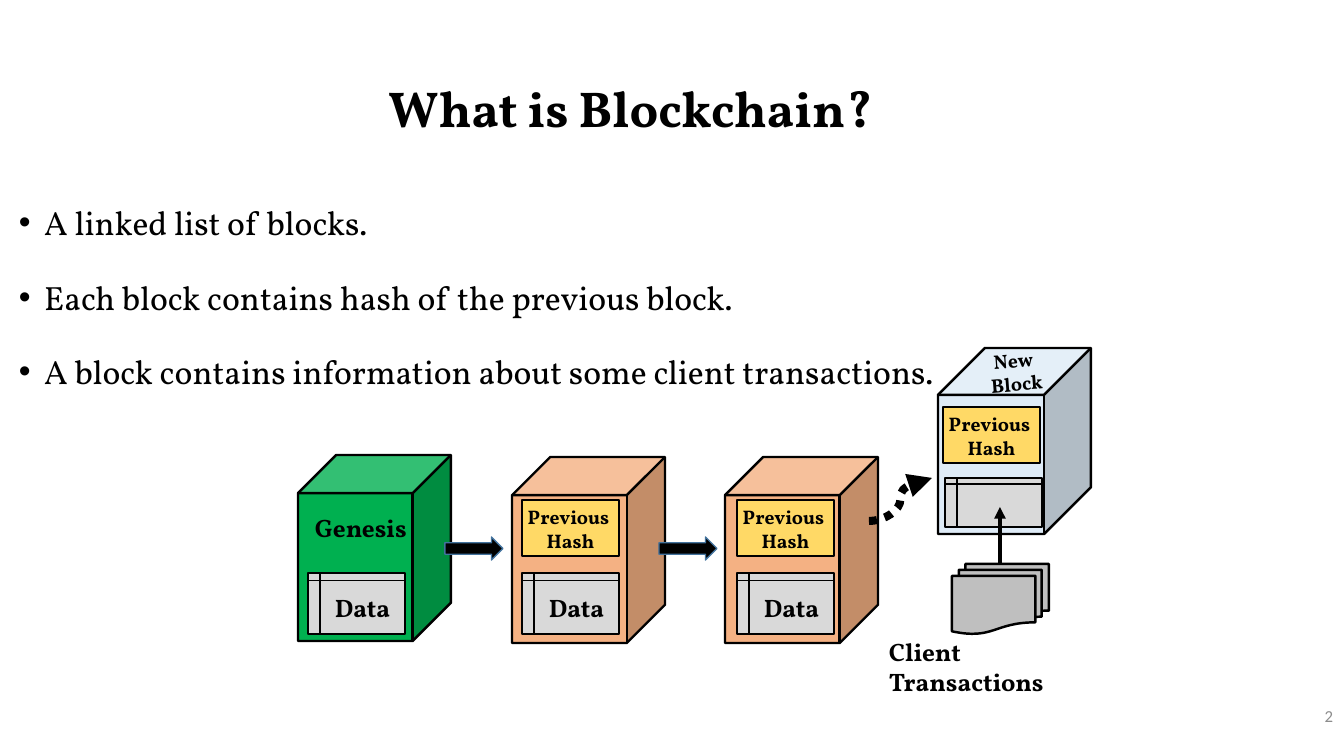
"""Build the slide that explains what a blockchain is."""
from lxml.etree import SubElement
from pptx import Presentation
from pptx.dml.color import RGBColor as RGB
from pptx.enum.dml import MSO_LINE as DASH
from pptx.enum.shapes import MSO_CONNECTOR as LINK, MSO_SHAPE as SHAPE
from pptx.enum.text import MSO_ANCHOR as ANCHOR, PP_ALIGN as ALIGN
from pptx.oxml.ns import qn
from pptx.util import Emu, Pt

PX = 914400 / 100.8
THEME = {
    "font": "Vollkorn", "foot": "Calibri",
    "ink": "000000", "gray": "8C8C8C", "edge": "43739E",
    "green": "00B050", "peach": "F4B183", "pale": "DEEBF7",
    "gold": "FFD966", "data": "D9D9D9", "docs": "BFBFBF",
    "title": 36, "body": 24, "label": 18, "small": 14, "page": 12,
}

deck = Presentation()
deck.slide_width, deck.slide_height = Emu(round(1344 * PX)), Emu(round(756 * PX))
slide = deck.slides.add_slide(deck.slide_layouts[6])


def draw(kind, box, fill, width, edge="ink"):
    """Add a filled preset shape."""
    shape = slide.shapes.add_shape(kind, *[round(n * PX) for n in box])
    shape.shadow.inherit = False
    shape.fill.solid()
    shape.fill.fore_color.rgb = RGB.from_string(THEME[fill])
    shape.line.color.rgb = RGB.from_string(THEME[edge])
    shape.line.width = Pt(width)
    return shape


def write(lines, size, box=None, shape=None, align=ALIGN.CENTER, wrap=True,
          bold=True, font="font", color="ink", space=1, mid=False, dots=False):
    """Write lines into a new text box or a given shape."""
    if shape is None:
        shape = slide.shapes.add_textbox(*[round(n * PX) for n in box])
    frame = shape.text_frame
    frame.word_wrap = wrap
    frame.vertical_anchor = ANCHOR.MIDDLE if mid else ANCHOR.TOP
    for i, line in enumerate(lines):
        para = frame.add_paragraph() if i else frame.paragraphs[0]
        para.alignment, para.line_spacing = align, space
        if dots:
            para.space_before = Pt(10 if i else 0)
            props = para._p.get_or_add_pPr()
            props.set("marL", "228600")
            props.set("indent", "-228600")
            SubElement(props, qn("a:buFont")).set("typeface", "Arial")
            SubElement(props, qn("a:buChar")).set("char", "•")
        run = para.add_run()
        run.text = line
        run.font.name, run.font.size = THEME[font], Pt(THEME[size])
        run.font.bold = bold
        run.font.color.rgb = RGB.from_string(THEME[color])
    return shape


write(["A linked list of blocks.",
       "Each block contains hash of the previous block.",
       "A block contains information about some client transactions."],
      "body", (9, 177, 1159, 216), align=ALIGN.LEFT, bold=False,
      space=1.5, dots=True)
write(["What is Blockchain?"], "title", (51, 62, 1159, 79), space=1.2, mid=True)

blocks = [
    ("green", (298, 455), (308, 573, 97, 61), None, "Data"),
    ("peach", (512, 457), (522, 573, 97, 61), (522, 500), "Data"),
    ("peach", (725, 457), (737, 573, 97, 61), (737, 500), "Data"),
    ("pale", (938, 348), (945, 478, 97, 49), (943, 407), None),
]
for fill, spot, store, hash_at, label in blocks:
    cube = draw(SHAPE.CUBE, (*spot, 153, 186), fill, 1.75)
    if fill == "pale":
        cube.adjustments[0] = 0.306
    data = draw(SHAPE.FLOWCHART_INTERNAL_STORAGE, store, "data", 1)
    if label:
        write([label], "label", shape=data, mid=True)
    if hash_at:
        x, y = hash_at
        draw(SHAPE.RECTANGLE, (x, y, 97, 56), "gold", 1)
        write(["Previous ", "Hash"], "small", (x - 12, y, 121, 57))

write(["Genesis"], "label", (305, 507, 114, 40), align=ALIGN.LEFT, wrap=False)
draw(SHAPE.FLOWCHART_MULTIDOCUMENT, (952, 564, 97, 70), "docs", 1.75)
for x in (445, 659):
    draw(SHAPE.RIGHT_ARROW, (x, 537, 58, 23), "ink", 1, "edge")

links = [
    (LINK.STRAIGHT, (1000, 564, 1000, 507), 2.75, None),
    (LINK.CURVE, (869, 521, 932, 478), 5.75, DASH.ROUND_DOT),
]
for kind, ends, width, dash in links:
    link = slide.shapes.add_connector(kind, *[round(n * PX) for n in ends])
    link.line.color.rgb = RGB.from_string(THEME["ink"])
    link.line.width = Pt(width)
    if dash:
        link.line.dash_style = dash
    SubElement(link.line._get_or_add_ln(), qn("a:tailEnd")).set("type", "triangle")
    SubElement(link._element.spPr, qn("a:effectLst"))

write(["Client Transactions"], "label", (879, 631, 245, 40), align=ALIGN.LEFT)
top = write(["New ", "Block"], "small", (948, 343, 136, 57))
top.rotation = 355.7
write(["2"], "page", (1172, 696, 171, 40), align=ALIGN.RIGHT, bold=False,
      font="foot", color="gray", mid=True)

deck.save("out.pptx")
